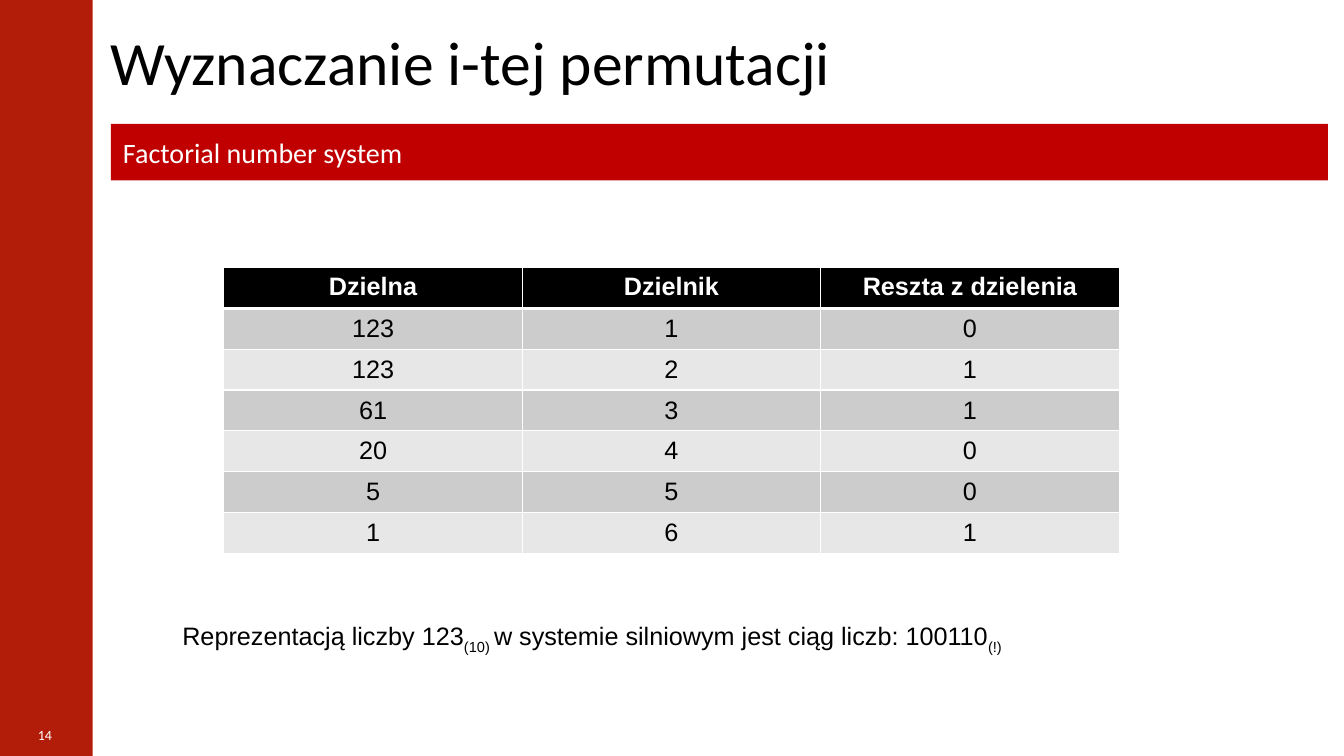
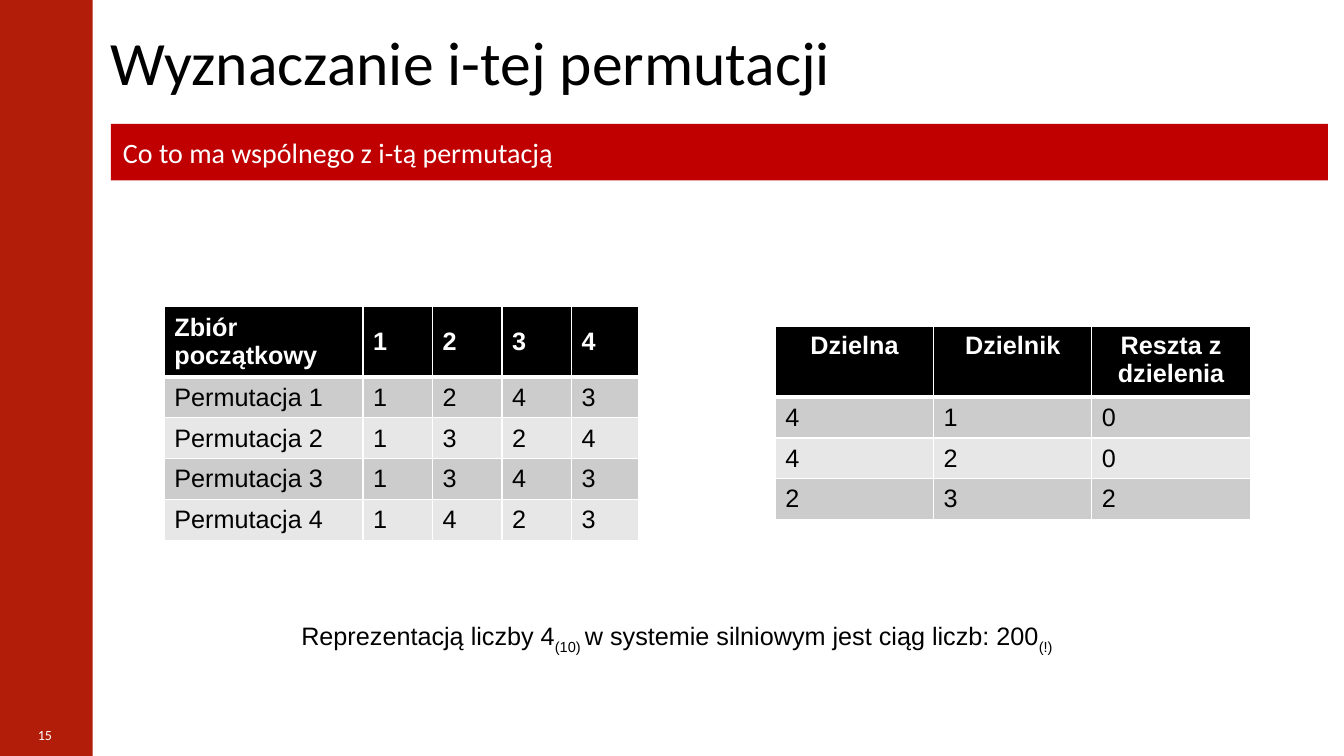
from lxml import etree
from pptx import Presentation
from pptx.dml.color import RGBColor
from pptx.enum.shapes import MSO_SHAPE
from pptx.enum.text import MSO_ANCHOR, MSO_AUTO_SIZE, PP_ALIGN
from pptx.oxml.ns import qn
from pptx.util import Emu, Pt

RECTANGLE = MSO_SHAPE.RECTANGLE
LEFT, CENTER = PP_ALIGN.LEFT, PP_ALIGN.CENTER
TOP, MIDDLE = MSO_ANCHOR.TOP, MSO_ANCHOR.MIDDLE
NO_AUTOFIT = MSO_AUTO_SIZE.NONE

EMU_PER_PX = 9144  # 100 px to the inch
TITLE_ONLY = 5


def px(length):
    return Emu(round(length * EMU_PER_PX))


def color(hex_string):
    return RGBColor.from_string(hex_string)


def set_border(cell, position, side, points):
    """Add a white line on one side, in the order L, R, T, B."""
    line = etree.Element(qn("a:ln" + side), w=str(Pt(points)))
    fill = etree.SubElement(line, qn("a:solidFill"))
    etree.SubElement(fill, qn("a:srgbClr"), val=Deck.WHITE)
    cell._tc.get_or_add_tcPr().insert(position, line)


class Deck:
    WHITE, BLACK = "FFFFFF", "000000"
    SIDEBAR, BAND = "B11D09", "C00000"
    ROW_FILLS = ("CCCCCC", "E7E7E7")
    HEADING_FONT, BODY_FONT = "Calibri", "Arial"

    def __init__(self):
        self.presentation = Presentation()
        self.presentation.slide_width = px(1333)
        self.presentation.slide_height = px(750)
        self.slide = None

    def style_text(self, paragraph, size, font, text_color, bold=False, align=LEFT):
        paragraph.alignment = align
        for run in paragraph.runs:
            run.font.size = Pt(size)
            run.font.name = font
            run.font.bold = bold
            run.font.color.rgb = color(text_color)

    def fill_frame(self, shape, text, size, text_color, inset):
        """Put one left-aligned, vertically centred heading in a shape."""
        frame = shape.text_frame
        frame.text = text
        frame.word_wrap = True
        frame.auto_size = NO_AUTOFIT
        frame.vertical_anchor = MIDDLE
        frame.margin_left = px(inset)
        self.style_text(frame.paragraphs[0], size, self.HEADING_FONT, text_color)

    def new_slide(self, number, title, subtitle):
        layout = self.presentation.slide_layouts[TITLE_ONLY]
        self.slide = self.presentation.slides.add_slide(layout)
        self.rectangle(0, 0, 92, 750, self.SIDEBAR)
        self.page_number(number)
        self.title(title)
        band = self.rectangle(110, 123, 1207, 56, self.BAND)
        self.fill_frame(band, subtitle, 20, self.WHITE, 12)

    def title(self, text):
        shape = self.slide.shapes.title
        shape.left, shape.top = px(110), px(13)
        shape.width, shape.height = px(1205), px(94)
        self.fill_frame(shape, text, 44, self.BLACK, 0)

    def rectangle(self, left, top, width, height, fill):
        shape = self.slide.shapes.add_shape(
            RECTANGLE, px(left), px(top), px(width), px(height))
        shape.shadow.inherit = False
        shape.fill.solid()
        shape.fill.fore_color.rgb = color(fill)
        shape.line.fill.background()
        return shape

    def text_box(self, left, top, width, height):
        box = self.slide.shapes.add_textbox(px(left), px(top), px(width), px(height))
        box.text_frame.word_wrap = True
        return box.text_frame.paragraphs[0]

    def page_number(self, number):
        paragraph = self.text_box(0, 716, 89, 27)
        paragraph.text = str(number)
        self.style_text(paragraph, 10, self.HEADING_FONT, self.WHITE, align=CENTER)

    def representation(self, left, width, decimal, factorial):
        """State a number in both bases, each base as a subscript."""
        paragraph = self.text_box(left, 611, width, 40)
        parts = (f"Reprezentacją liczby {decimal}", "(10) ",
                 f"w systemie silniowym jest ciąg liczb: {factorial}", "(!)")
        for part in parts:
            paragraph.add_run().text = part
        self.style_text(paragraph, 18, self.BODY_FONT, self.BLACK)
        for run in paragraph.runs[1::2]:
            run.font._element.set("baseline", "-25000")

    def table(self, left, top, widths, header_height, rows,
              header_align=CENTER, header_anchor=TOP, body_align=LEFT):
        heights = [header_height] + [40.5] * (len(rows) - 1)
        table = self.slide.shapes.add_table(
            len(rows), len(widths), px(left), px(top),
            px(sum(widths)), px(sum(heights))).table
        table.horz_banding = False
        for column, width in zip(table.columns, widths):
            column.width = px(width)
        for row_index, values in enumerate(rows):
            table.rows[row_index].height = px(heights[row_index])
            header = row_index == 0
            fill = self.BLACK if header else self.ROW_FILLS[(row_index - 1) % 2]
            borders = {"L": 1, "R": 1, "T": 3 if row_index == 1 else 1,
                       "B": 3 if header else 1}
            for column_index, value in enumerate(values):
                cell = table.cell(row_index, column_index)
                cell.text_frame.text = str(value)
                cell.vertical_anchor = header_anchor if header else MIDDLE
                cell.fill.solid()
                cell.fill.fore_color.rgb = color(fill)
                for position, (side, points) in enumerate(borders.items()):
                    set_border(cell, position, side, points)
                self.style_text(
                    cell.text_frame.paragraphs[0], 18, self.BODY_FONT,
                    self.WHITE if header else self.BLACK, bold=header,
                    align=header_align if header else body_align)


def main():
    deck = Deck()
    title = "Wyznaczanie i-tej permutacji"
    division_header = ("Dzielna", "Dzielnik", "Reszta z dzielenia")

    deck.new_slide(14, title, "Factorial number system")
    deck.table(222, 265, [296] * 3, 41, [
        division_header,
        (123, 1, 0),
        (123, 2, 1),
        (61, 3, 1),
        (20, 4, 0),
        (5, 5, 0),
        (1, 6, 1),
    ], body_align=CENTER)
    deck.representation(171, 1158, 123, 100110)

    deck.new_slide(15, title, "Co to ma wspólnego z i-tą permutacją")
    deck.table(163, 304, [197, 69, 69, 69, 66], 65, [
        ("Zbiór początkowy", 1, 2, 3, 4),
        ("Permutacja 1", 1, 2, 4, 3),
        ("Permutacja 2", 1, 3, 2, 4),
        ("Permutacja 3", 1, 3, 4, 3),
        ("Permutacja 4", 1, 4, 2, 3),
    ], header_align=LEFT, header_anchor=MIDDLE)
    deck.table(769, 324, [157] * 3, 65, [
        division_header,
        (4, 1, 0),
        (4, 2, 0),
        (2, 3, 2),
    ])
    deck.representation(289, 1040, 4, 200)

    deck.presentation.save("out.pptx")


if __name__ == "__main__":
    main()
